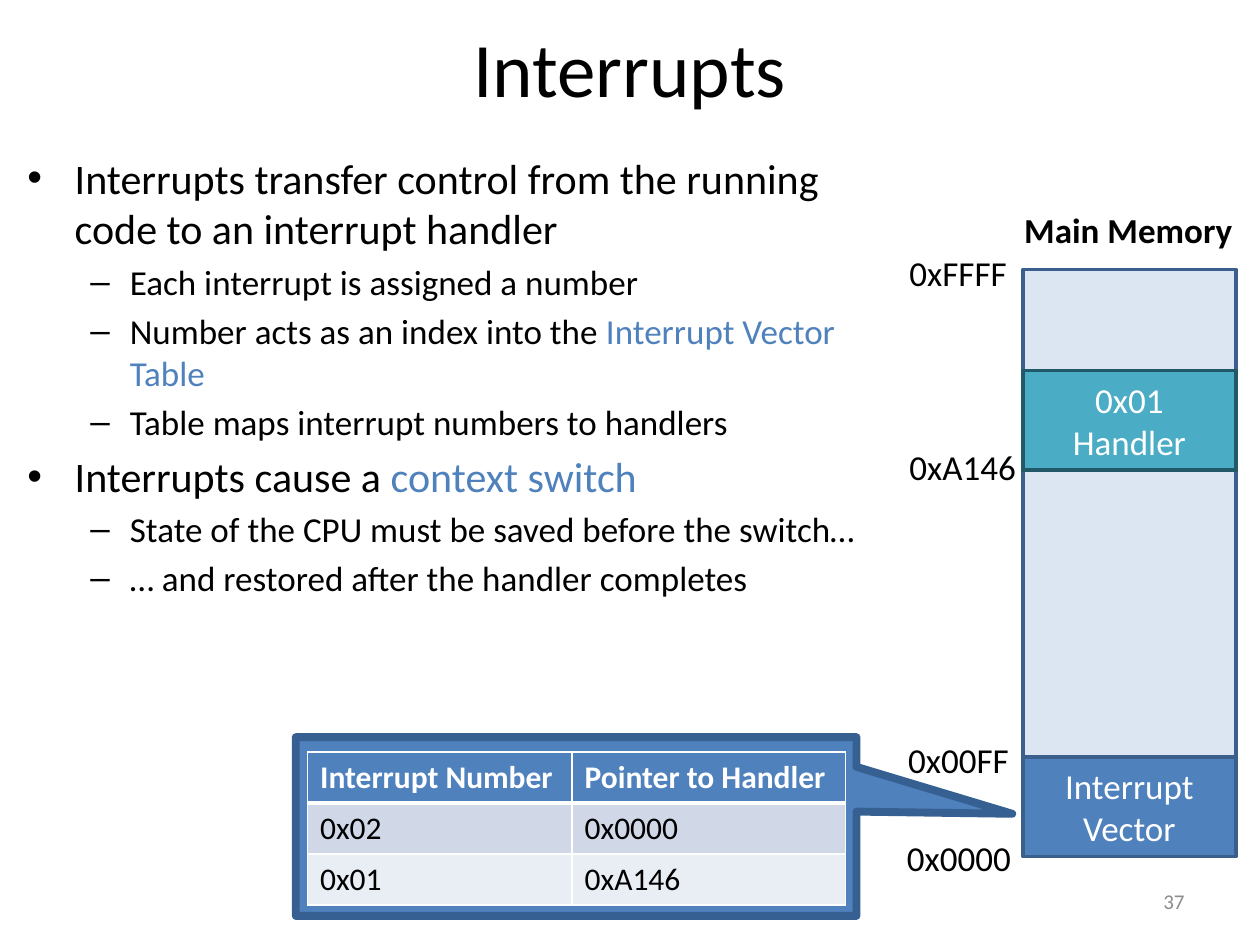
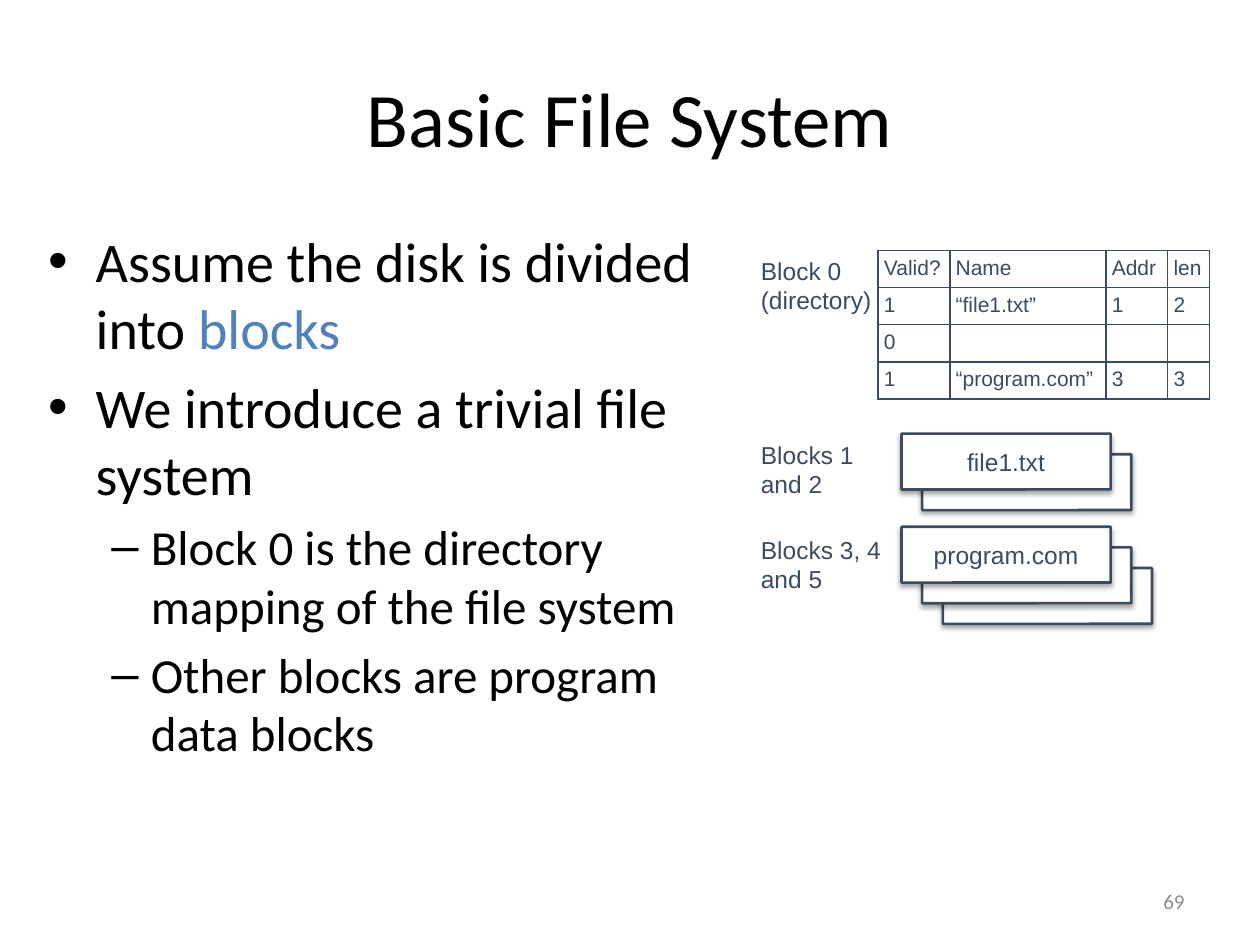
from dataclasses import dataclass

from lxml import etree
from pptx import Presentation
from pptx.dml.color import RGBColor
from pptx.enum.shapes import MSO_SHAPE
from pptx.enum.text import MSO_ANCHOR, PP_ALIGN
from pptx.oxml.ns import qn
from pptx.util import Pt

RECTANGLE, ROUNDED = MSO_SHAPE.RECTANGLE, MSO_SHAPE.ROUNDED_RECTANGLE
CALLOUT = MSO_SHAPE.RECTANGULAR_CALLOUT
LEFT, CENTER, RIGHT = PP_ALIGN.LEFT, PP_ALIGN.CENTER, PP_ALIGN.RIGHT
TOP, MIDDLE = MSO_ANCHOR.TOP, MSO_ANCHOR.MIDDLE


def lettering(size, name="Calibri", bold=False):
    """Return the font attributes of one text style."""
    return {"name": name, "size": Pt(size), "bold": bold}


@dataclass(frozen=True)
class Theme:
    black: str = "000000"
    white: str = "FFFFFF"
    grey: str = "8C8C8C"
    blue: str = "4F81BD"
    dark_blue: str = "376092"
    memory_line: str = "3A5F8C"
    pale_blue: str = "DCE6F2"
    teal: str = "4BACC6"
    dark_teal: str = "215968"
    band_dark: str = "D0D8E8"
    band_light: str = "E9EDF4"
    slate: str = "3C4B5E"
    title: int = 44
    number: int = 12
    memory: int = 20
    vector_table: int = 18
    block: int = 14
    directory: int = 12
    block_font: str = "Arial"


theme = Theme()


def write(para, spans, style, colour=theme.black, align=LEFT):
    """Add spans to a paragraph; every second one takes the accent colour."""
    para.alignment = align
    for index, text in enumerate(spans):
        span = para.add_run()
        span.text = text
        span.font.color.rgb = RGBColor.from_string(theme.blue if index % 2 else colour)
        for name, value in style.items():
            setattr(span.font, name, value)


deck = Presentation()
deck.slide_width, deck.slide_height = Pt(720), Pt(540)

# Titles, bullets and slide numbers
outlines = [
    {
        "title": "Interrupts", "title_place": (36, 2, 648, 72), "number": "37",
        "body_place": (8.6, 83.5, 503.3, 314.6), "sizes": (24, 20),
        "lines": [
            (0, ["Interrupts transfer control from the running code to an interrupt handler"]),
            (1, ["Each interrupt is assigned a number"]),
            (1, ["Number acts as an index into the ", "Interrupt Vector Table"]),
            (1, ["Table maps interrupt numbers to handlers"]),
            (0, ["Interrupts cause a ", "context switch"]),
            (1, ["State of the CPU must be saved before the switch…"]),
            (1, ["… and restored after the handler completes"]),
        ],
    },
    {
        "title": "Basic File System", "title_place": (36, 21.6, 648, 90), "number": "69",
        "body_place": (20.6, 126, 394, 356.4), "sizes": (32, 28),
        "lines": [
            (0, ["Assume the disk is divided into ", "blocks"]),
            (0, ["We introduce a trivial file system"]),
            (1, ["Block 0 is the directory mapping of the file system"]),
            (1, ["Other blocks are program data blocks"]),
        ],
    },
]
bullets = [("•", 27, -27), ("–", 58.5, -22.5)]
pages = []
for outline in outlines:
    page = deck.slides.add_slide(deck.slide_layouts[6])
    pages.append(page)
    frames = []
    for place, anchor in [
        (outline["title_place"], MIDDLE),
        (outline["body_place"], TOP),
        ((516, 500.4, 168, 28.8), MIDDLE),
    ]:
        frame = page.shapes.add_textbox(*map(Pt, place)).text_frame
        frame.word_wrap, frame.vertical_anchor = True, anchor
        frames.append(frame)
    title, body, number = frames
    write(title.paragraphs[0], [outline["title"]], lettering(theme.title), align=CENTER)
    write(number.paragraphs[0], [outline["number"]], lettering(theme.number), theme.grey, RIGHT)

    for index, (level, spans) in enumerate(outline["lines"]):
        para = body.add_paragraph() if index else body.paragraphs[0]
        symbol, margin, indent = bullets[level]
        size = outline["sizes"][level]
        para.level = level
        properties = para._p.get_or_add_pPr()
        properties.set("marL", str(Pt(margin)))
        properties.set("indent", str(Pt(indent)))
        etree.SubElement(properties, qn("a:buFont"), typeface="Arial")
        etree.SubElement(properties, qn("a:buChar"), char=symbol)
        if index:
            para.space_before = Pt(size * 0.2)
        write(para, spans, lettering(size))

interrupts, file_system = pages

# Main memory and the callout that opens its interrupt vector
memory_left, memory_width, region_height = 584.5, 121.75, 57
for kind, place, fill, line, weight, text in [
    (CALLOUT, (169, 421.2, 320.4, 102.2), theme.blue, theme.dark_blue, 4.5, ""),
    (RECTANGLE, (memory_left, 154, memory_width, 335), theme.pale_blue, theme.memory_line, 2, ""),
    (RECTANGLE, (memory_left, 432.5, memory_width, region_height),
     theme.blue, theme.memory_line, 2, "Interrupt Vector"),
    (RECTANGLE, (memory_left, 211.7, memory_width, region_height),
     theme.teal, theme.dark_teal, 2, "0x01 Handler"),
]:
    region = interrupts.shapes.add_shape(kind, *map(Pt, place))
    region.shadow.inherit = False
    region.fill.solid()
    region.fill.fore_color.rgb = RGBColor.from_string(fill)
    region.line.color.rgb = RGBColor.from_string(line)
    region.line.width = Pt(weight)
    if kind == CALLOUT:
        region.adjustments[0], region.adjustments[1] = 0.778, -0.071
    if text:
        frame = region.text_frame
        frame.word_wrap, frame.vertical_anchor = True, MIDDLE
        frame.margin_left = frame.margin_right = Pt(8)
        write(frame.paragraphs[0], [text], lettering(theme.memory), theme.white, CENTER)

# Interrupt vector table and file directory
tables = [
    {
        "page": interrupts, "place": (175.75, 429.8), "columns": (151.2, 156.2), "height": 29.1,
        "rows": [
            ("Interrupt Number", "Pointer to Handler"),
            ("0x02", "0x0000"),
            ("0x01", "0xA146"),
        ],
        "fills": (theme.blue, theme.band_dark, theme.band_light),
        "colours": (theme.white, theme.black),
        "size": theme.vector_table, "font": "Calibri", "bold_heading": True,
        "border": theme.white, "heading_rule": 3, "margins": (7.2, 3.6),
    },
    {
        "page": file_system, "place": (501.75, 143.2), "columns": (41, 89.25, 35.25, 24),
        "height": 20.75,
        "rows": [
            ("Valid?", "Name", "Addr", "len"),
            ("1", "“file1.txt”", "1", "2"),
            ("0", "", "", ""),
            ("1", "“program.com”", "3", "3"),
        ],
        "fills": (None,) * 4,
        "colours": (theme.slate, theme.slate),
        "size": theme.directory, "font": theme.block_font, "bold_heading": False,
        "border": theme.slate, "heading_rule": 1, "margins": (3.4, 3.4),
    },
]
for plan in tables:
    rows, columns = plan["rows"], plan["columns"]
    table = plan["page"].shapes.add_table(
        len(rows), len(columns), *map(Pt, plan["place"]),
        Pt(sum(columns)), Pt(plan["height"] * len(rows)),
    ).table
    table.first_row = table.horz_banding = False
    for column, width in zip(table.columns, columns):
        column.width = Pt(width)
    for row_index, texts in enumerate(rows):
        table.rows[row_index].height = Pt(plan["height"])
        style = lettering(plan["size"], plan["font"], plan["bold_heading"] and row_index == 0)
        for column_index, text in enumerate(texts):
            cell = table.cell(row_index, column_index)
            cell.margin_left = cell.margin_right = Pt(plan["margins"][0])
            cell.margin_top = cell.margin_bottom = Pt(plan["margins"][1])
            properties = cell._tc.get_or_add_tcPr()
            for edge in "LRTB":
                under_heading = (row_index, edge) in [(0, "B"), (1, "T")]
                weight = plan["heading_rule"] if under_heading else 1
                border = etree.SubElement(properties, qn(f"a:ln{edge}"), w=str(Pt(weight)))
                paint = etree.SubElement(border, qn("a:solidFill"))
                etree.SubElement(paint, qn("a:srgbClr"), val=plan["border"])
            fill = plan["fills"][row_index]
            if fill:
                cell.fill.solid()
                cell.fill.fore_color.rgb = RGBColor.from_string(fill)
            else:
                cell.fill.background()
            para = cell.text_frame.paragraphs[0]
            if text:
                write(para, [text], style, plan["colours"][min(row_index, 1)])
            else:
                para._p.get_or_add_endParaRPr().set("sz", str(plan["size"] * 100))

# Stacks of disk blocks, drawn from the back card to the front one
card_step = 11.8
for file_name, stack_top, count in [("file1.txt", 247.8, 2), ("program.com", 301, 3)]:
    for depth in reversed(range(count)):
        offset = depth * card_step
        card = file_system.shapes.add_shape(
            ROUNDED, Pt(515.2 + offset), Pt(stack_top + offset), Pt(119.5), Pt(31.9))
        card.adjustments[0] = 0.001
        card.fill.solid()
        card.fill.fore_color.rgb = RGBColor.from_string(theme.white)
        card.line.color.rgb = RGBColor.from_string(theme.slate)
        card.line.width = Pt(1.5)
        card.shadow.inherit = False
        effects = card._element.spPr.find(qn("a:effectLst"))
        shadow = etree.SubElement(
            effects, qn("a:outerShdw"), blurRad=str(Pt(3.1)), dist=str(Pt(1.8)),
            dir="5400000", rotWithShape="0")
        shade = etree.SubElement(shadow, qn("a:srgbClr"), val=theme.black)
        etree.SubElement(shade, qn("a:alpha"), val="35000")
    card.text_frame.vertical_anchor = MIDDLE
    write(card.text_frame.paragraphs[0], [file_name],
          lettering(theme.block, theme.block_font), theme.slate, CENTER)

# Memory addresses and block labels
address = lettering(theme.memory)
heading = lettering(theme.memory, bold=True)
block = lettering(theme.block, theme.block_font)
for page, text, place, style, colour, wrap in [
    (interrupts, "0x0000", (511.2, 474.5, 74.2, 31.5), address, theme.black, False),
    (interrupts, "0x00FF", (511.9, 418.3, 72.7, 31.5), address, theme.black, False),
    (interrupts, "0xFFFF", (512.6, 140.4, 70.6, 31.5), address, theme.black, False),
    (interrupts, "0xA146", (512.6, 250.9, 75.6, 31.5), address, theme.black, False),
    (interrupts, "Main Memory", (578.2, 115.5, 134.6, 31.5), heading, theme.black, False),
    (file_system, "Block 0 (directory)", (427.7, 142.6, 87.1, 41), block, theme.slate, True),
    (file_system, "Blocks 1 and 2", (427.7, 247.7, 87.1, 41), block, theme.slate, True),
    (file_system, "Blocks 3, 4 and 5", (427.7, 302, 87.1, 41), block, theme.slate, True),
]:
    frame = page.shapes.add_textbox(*map(Pt, place)).text_frame
    frame.word_wrap = wrap
    write(frame.paragraphs[0], [text], style, colour)

deck.save("out.pptx")
